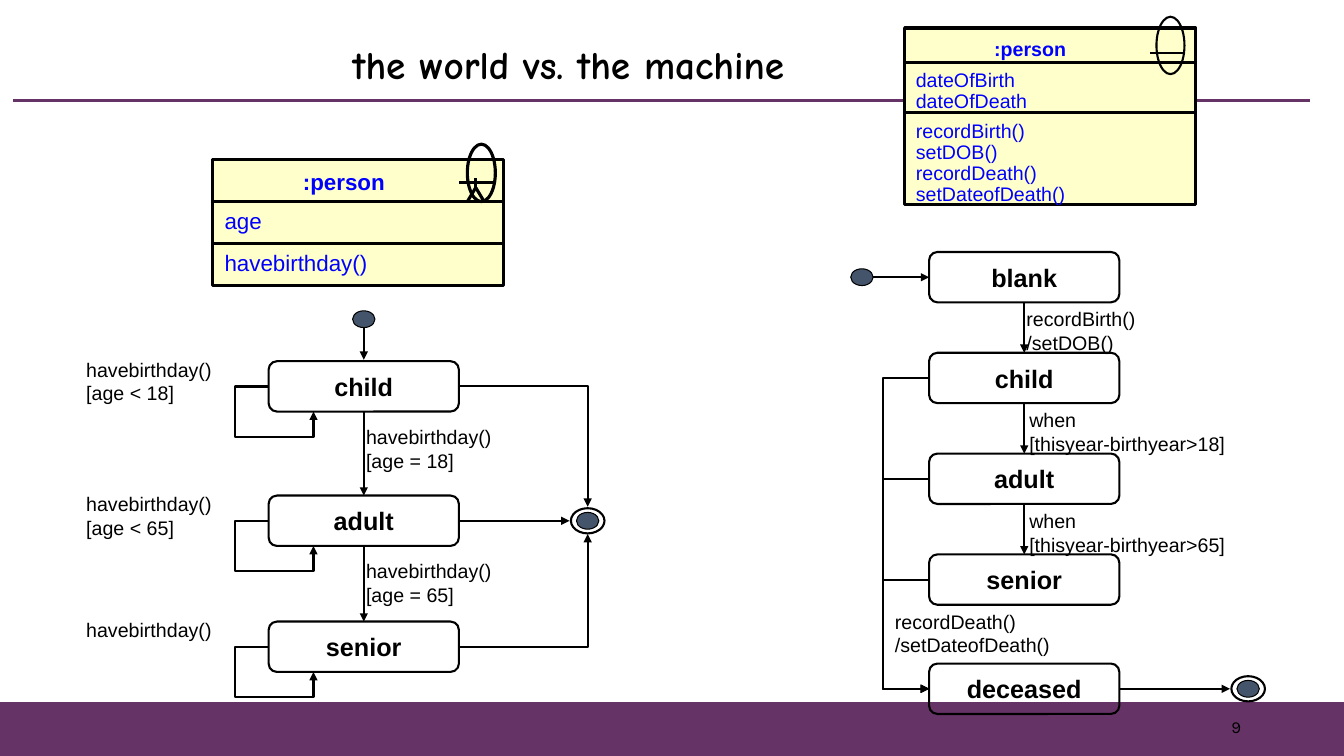
"""Draw the slide comparing a person in the world with a person record in the machine."""
from typing import Any, NamedTuple

from lxml import etree
from pptx import Presentation
from pptx.dml.color import RGBColor
from pptx.enum.shapes import MSO_CONNECTOR, MSO_SHAPE
from pptx.enum.text import MSO_ANCHOR, MSO_AUTO_SIZE, PP_ALIGN
from pptx.oxml.ns import qn
from pptx.util import Pt

RECT, ROUND, OVAL = MSO_SHAPE.RECTANGLE, MSO_SHAPE.ROUNDED_RECTANGLE, MSO_SHAPE.OVAL
LINE, ELBOW = MSO_CONNECTOR.STRAIGHT, MSO_CONNECTOR.ELBOW
LEFT, MID, RIGHT = PP_ALIGN.LEFT, PP_ALIGN.CENTER, PP_ALIGN.RIGHT
TOP, CENTER = MSO_ANCHOR.TOP, MSO_ANCHOR.MIDDLE
GROW, FIXED = MSO_AUTO_SIZE.SHAPE_TO_FIT_TEXT, MSO_AUTO_SIZE.NONE

BLACK, BLUE, PLUM, CREAM, SLATE = "000000", "0000FF", "663366", "FFFFCC", "44546A"
WIDE, HIGH = 136, 36
LIFE_X, FILE_X = 192, 664


class Box(NamedTuple):
    x: float
    y: float
    w: float
    h: float


class Label(NamedTuple):
    text: str
    box: Box
    size: float = 14
    color: str = BLACK
    bold: bool = False
    pad: bool = True
    space: float = 1.0


class State(NamedTuple):
    name: str
    x: float
    y: float


class Line(NamedTuple):
    x1: float
    y1: float
    x2: float
    y2: float
    width: float = 1.5
    arrow: bool = True


class Bend(NamedTuple):
    line: Line
    kind: str
    adjust: tuple[float, ...] = ()
    turn: bool = False


LABELS = [
    Label(":person", Box(216.5, 120, 64, 19), 16, BLUE, True, False),
    Label("age", Box(160.5, 150, 30, 17.5), 16, BLUE, False, False, 0.9),
    Label("havebirthday()", Box(160.5, 180, 106, 17.5), 16, BLUE, False, False, 0.9),
    Label(":person", Box(710.5, 26.5, 56, 17), 14, BLUE, True, False),
    Label("dateOfBirth\ndateOfDeath", Box(654.5, 50.5, 84, 30), 14, BLUE, False, False, 0.9),
    Label("recordBirth()\nsetDOB()\nrecordDeath()\nsetDateofDeath()",
          Box(654.5, 86.5, 112, 60.5), 14, BLUE, False, False, 0.9),
    Label("havebirthday()\v[age = 18]", Box(254.5, 300, 112, 41)),
    Label("havebirthday()\v[age = 65]", Box(254.5, 396, 112, 41)),
    Label("havebirthday()\v[age < 18]", Box(54.5, 252, 112, 41)),
    Label("havebirthday()\v[age < 65]", Box(54.5, 348, 112, 41)),
    Label("havebirthday()", Box(54.5, 438, 112, 24.5)),
    Label("recordBirth()\v/setDOB()", Box(726.5, 216, 100, 41)),
    Label("when\v[thisyear-birthyear>18]", Box(728.5, 288, 166, 41)),
    Label("when\v[thisyear-birthyear>65]", Box(728.5, 360, 166, 41)),
    Label("recordDeath()\n/setDateofDeath()", Box(632.5, 432, 132, 41)),
]
LIFE = [State("child", LIFE_X, 258), State("adult", LIFE_X, 354), State("senior", LIFE_X, 444)]
FILE = [State("blank", FILE_X, 180), State("child", FILE_X, 252), State("adult", FILE_X, 324),
        State("senior", FILE_X, 396), State("deceased", FILE_X, 474)]
LINES = [
    Line(260, 234, 260, 257), Line(329, 372, 407, 372),
    Line(624, 198, 664, 198), Line(800, 492, 879, 492),
    Line(846, 38, 822, 38, 1.5, False),
    Line(352, 130.5, 328, 130.5, 2.25, False), Line(340, 134, 340, 127, 2.25, False),
    Line(340, 134, 334, 144, 2.25, False), Line(346, 144, 340, 134, 2.25, False),
]
BENDS = [Bend(Line(329, 276, 420, 362), "bentConnector2"),
         Bend(Line(329, 462, 420, 381.5), "bentConnector2")]


def tint(code: str) -> RGBColor:
    """Turn a hex string into a colour."""
    return RGBColor.from_string(code)


def assign(target: Any, values: dict[str, Any]) -> None:
    """Set each named value on the target."""
    for name, value in values.items():
        setattr(target, name, value)


def write(frame: Any, text: str, form: dict[str, Any], align: Any, color: str = BLACK,
          space: float = 1.0, **setup: Any) -> None:
    """Fill a text frame and format its paragraphs and runs."""
    assign(frame, setup)
    frame.text = text
    for para in frame.paragraphs:
        assign(para, {"alignment": align, "line_spacing": space})
        for run in para.runs:
            assign(run.font, form)
            run.font.color.rgb = tint(color)


def shape(slide: Any, kind: Any, box: Box, fill: str = "", line: str = BLACK,
          width: float = 1.5) -> Any:
    """Add a preset shape with a plain fill and line."""
    item = slide.shapes.add_shape(kind, *map(Pt, box))
    item.shadow.inherit = False
    if fill:
        item.fill.solid()
        item.fill.fore_color.rgb = tint(fill)
    else:
        item.fill.background()
    item.line.color.rgb = tint(line)
    item.line.width = Pt(width)
    return item


def link(slide: Any, line: Line, kind: Any = LINE, color: str = BLACK) -> Any:
    """Add a connector, with an arrowhead where wanted."""
    item = slide.shapes.add_connector(kind, *map(Pt, line[:4]))
    item.line.color.rgb = tint(color)
    item.line.width = Pt(line.width)
    props = item._element.spPr
    if line.arrow:
        etree.SubElement(props.find(qn("a:ln")), qn("a:tailEnd"), type="triangle")
    etree.SubElement(props, qn("a:effectLst"))
    return item


def bend(slide: Any, data: Bend) -> None:
    """Add an elbow connector with its own route."""
    line = data.line
    if data.turn:
        line = line._replace(x1=line.x2, y1=line.y2, x2=line.x1, y2=line.y1)
    props = link(slide, line, ELBOW)._element.spPr
    if data.turn:
        props.find(qn("a:xfrm")).set("rot", "10800000")
    geom = props.find(qn("a:prstGeom"))
    geom.set("prst", data.kind)
    guides = geom.get_or_add_avLst()
    for rank, value in enumerate(data.adjust, 1):
        etree.SubElement(guides, qn("a:gd"), name=f"adj{rank}", fmla=f"val {round(value * 100000)}")


def label(slide: Any, data: Label) -> None:
    """Add a text box that does not wrap."""
    frame = slide.shapes.add_textbox(*map(Pt, data.box)).text_frame
    side, edge = (Pt(7.2), Pt(3.6)) if data.pad else (0, 0)
    form = {"name": "Arial", "size": Pt(data.size), "bold": data.bold}
    write(frame, data.text, form, LEFT, data.color, data.space, word_wrap=False, auto_size=GROW,
          vertical_anchor=TOP, margin_left=side, margin_right=side, margin_top=edge,
          margin_bottom=edge)


def state(slide: Any, data: State) -> None:
    """Add a rounded state box."""
    item = shape(slide, ROUND, Box(data.x, data.y, WIDE, HIGH))
    item.adjustments[0] = 0.167
    form = {"name": "Arial", "size": Pt(18), "bold": True}
    write(item.text_frame, data.name, form, MID, word_wrap=False, vertical_anchor=CENTER)


def dot(slide: Any, x: float, y: float, ring: bool) -> None:
    """Add a start dot, or an end dot with its ring."""
    shape(slide, OVAL, Box(x - 8, y - 6, 16, 12), SLATE, BLACK, 0.75)
    if ring:
        shape(slide, OVAL, Box(x - 12, y - 9, 24, 18))


def main() -> None:
    """Build and save the slide."""
    deck = Presentation()
    assign(deck, {"slide_width": Pt(960.48), "slide_height": Pt(540)})
    slide = deck.slides.add_slide(deck.slide_layouts[5])
    shape(slide, RECT, Box(0, 502, 960.48, 38), PLUM, PLUM, 1)
    link(slide, Line(9.5, 72, 936, 72, 2.25, False), LINE, PLUM)
    title = slide.shapes.title
    assign(title, {"left": Pt(66), "top": Pt(21.5), "width": Pt(680.5), "height": Pt(52.5)})
    write(title.text_frame, "the world vs. the machine",
          {"name": "Comic Neue", "size": Pt(28), "bold": True}, MID, BLACK, 0.9,
          auto_size=FIXED, vertical_anchor=CENTER, word_wrap=True)
    number = slide.shapes.add_textbox(*map(Pt, Box(678, 504.5, 216, 29)))
    write(number.text_frame, "9", {"name": "Karla", "size": Pt(12)}, RIGHT,
          word_wrap=True, vertical_anchor=CENTER)
    for panel, row in ((Box(152, 114, 208, 90), Box(152, 144, 208, 30)),
                       (Box(646.5, 20, 208, 126), Box(646.5, 44.5, 208, 36))):
        shape(slide, RECT, panel, CREAM, BLACK, 2.25)
        shape(slide, RECT, row, "", BLACK, 2.25)
    shape(slide, OVAL, Box(334, 103, 20, 41), "", BLACK, 2.25)
    shape(slide, OVAL, Box(826.5, 12, 20, 41))
    for x, y, ring in ((260, 228, False), (420, 372, True), (616, 198, False), (892, 492, True)):
        dot(slide, x, y, ring)
    for item in LIFE + FILE:
        state(slide, item)
    steps = [Line(a.x + WIDE / 2, a.y + HIGH, b.x + WIDE / 2, b.y)
             for chain in (LIFE, FILE[:-1]) for a, b in zip(chain, chain[1:])]
    loops = [Bend(Line(s.x, s.y + 18, s.x + 32, s.y + HIGH), "bentConnector4", (-0.75, 2), True)
             for s in LIFE]
    ends = [Bend(Line(s.x - 0.5, s.y + 18, s.x, FILE[-1].y + 18), "bentConnector3", (-64,), True)
            for s in FILE[1:-1]]
    for line in LINES + steps:
        link(slide, line)
    for item in BENDS + loops + ends:
        bend(slide, item)
    for item in LABELS:
        label(slide, item)
    deck.save("out.pptx")


if __name__ == "__main__":
    main()
